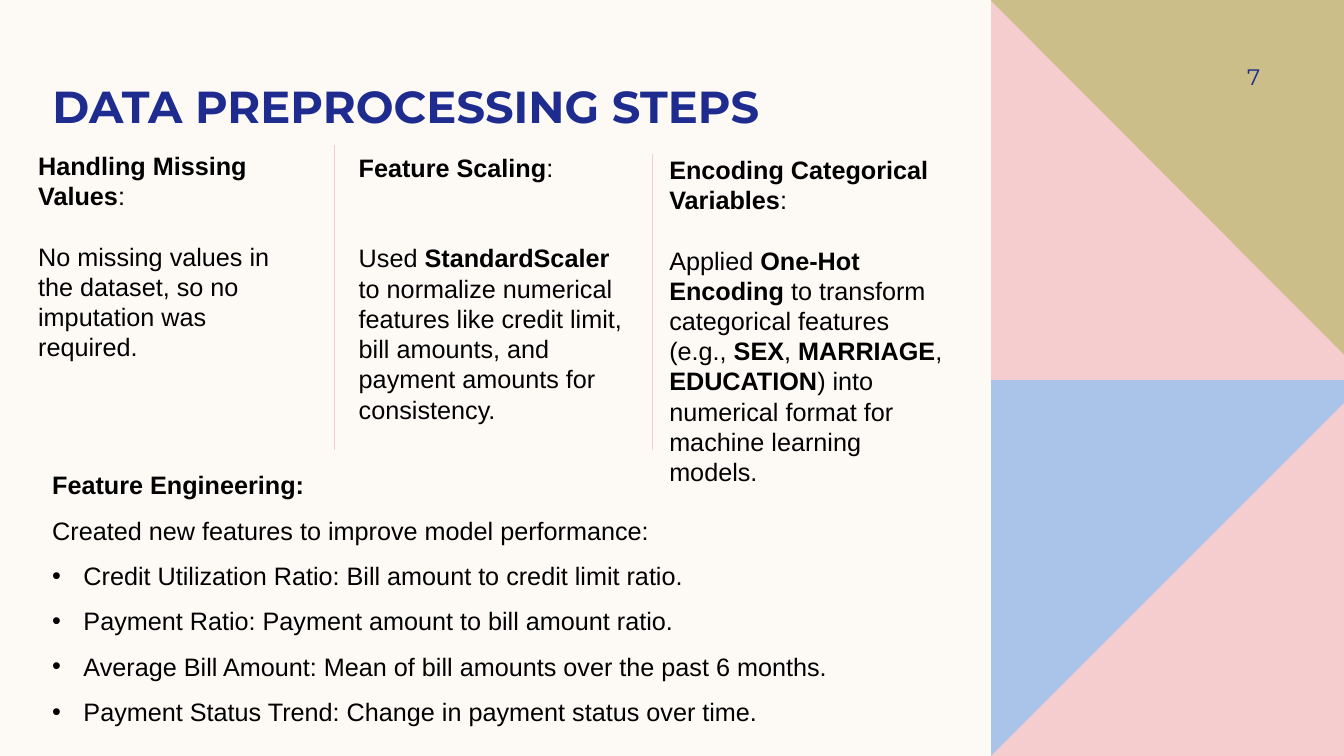
from dataclasses import dataclass

from lxml.etree import SubElement
from pptx import Presentation
from pptx.dml.color import RGBColor as Rgb
from pptx.enum.shapes import MSO_CONNECTOR as Connector
from pptx.enum.text import MSO_ANCHOR as Anchor, MSO_AUTO_SIZE as AutoSize, PP_ALIGN as Align
from pptx.oxml.ns import qn
from pptx.util import Inches, Pt

TITLE = "DATA PREPROCESSING STEPS"
PAGE_NUMBER = "7"
COLUMNS = [
    {
        "box": (0.28, 1.44, 2.82, 2.83),
        "gap_lines": 1,
        "heading": "Handling Missing Values",
        "body": ["No missing values in the dataset, so no imputation was required."],
    },
    {
        "box": (3.46, 1.46, 2.96, 3.43),
        "gap_lines": 2,
        "heading": "Feature Scaling",
        "body": [
            "Used ",
            "StandardScaler",
            " to normalize numerical features like credit limit, bill amounts, "
            "and payment amounts for consistency.",
        ],
    },
    {
        "box": (6.54, 1.48, 2.96, 3.43),
        "gap_lines": 1,
        "heading": "Encoding Categorical Variables",
        "body": [
            "Applied ",
            "One-Hot Encoding",
            " to transform categorical features (e.g., ",
            "SEX",
            ", ",
            "MARRIAGE",
            ", ",
            "EDUCATION",
            ") into numerical format for machine learning models.",
        ],
    },
]
ENGINEERING_HEADING = "Feature Engineering:"
ENGINEERING_INTRO = "Created new features to improve model performance:"
ENGINEERED_FEATURES = [
    "Credit Utilization Ratio: Bill amount to credit limit ratio.",
    "Payment Ratio: Payment amount to bill amount ratio.",
    "Average Bill Amount: Mean of bill amounts over the past 6 months.",
    "Payment Status Trend: Change in payment status over time.",
]
DIVIDERS = [(3.32, 1.44), (6.47, 1.53)]
DIVIDER_BOTTOM = 4.46
LEFT, MIDDLE, RIGHT, BOTTOM = 9.83, 3.76, 13.33, 7.5
PANELS = [
    ("blue", [(LEFT, MIDDLE), (RIGHT, MIDDLE), (RIGHT, BOTTOM), (LEFT, BOTTOM)]),
    ("pink", [(RIGHT, 4), (RIGHT, BOTTOM), (LEFT, BOTTOM)]),
    ("olive", [(LEFT, 0), (RIGHT, 0), (RIGHT, MIDDLE), (LEFT, MIDDLE)]),
    ("pink", [(LEFT, 0.01), (RIGHT, 3.52), (RIGHT, 3.77), (LEFT, 3.77)]),
]


@dataclass(frozen=True)
class Theme:
    background: Rgb = Rgb(0xFD, 0xFA, 0xF6)
    navy: Rgb = Rgb(0x1F, 0x2C, 0x8F)
    black: Rgb = Rgb(0, 0, 0)
    blue: Rgb = Rgb(0xAA, 0xC3, 0xE8)
    pink: Rgb = Rgb(0xF5, 0xCD, 0xCE)
    olive: Rgb = Rgb(0xCC, 0xBE, 0x89)
    display_font: str = "Montserrat"
    body_font: str = "Arial"
    title_size: int = 32
    body_size: int = 18
    number_size: int = 16
    body_line: float = 21.6


THEME = Theme()


def style(para, font, size, color, bold=None):
    para.font.name = font
    para.font.size = Pt(size)
    para.font.color.rgb = color
    para.font.bold = bold


def set_margins(frame, left, top, right, bottom):
    frame.margin_left, frame.margin_top = Inches(left), Inches(top)
    frame.margin_right, frame.margin_bottom = Inches(right), Inches(bottom)


def add_text_frame(page, box):
    frame = page.shapes.add_textbox(*map(Inches, box)).text_frame
    frame.word_wrap = True
    return frame


def add_body_para(frame, spans, first_bold=False):
    para = frame.paragraphs[0] if not frame.paragraphs[0].runs else frame.add_paragraph()
    style(para, THEME.body_font, THEME.body_size, THEME.black)
    for index, words in enumerate(spans):
        span = para.add_run()
        span.text = words
        span.font.bold = (index % 2 == 0) == first_bold
    return para


def add_bullet(para):
    props = para._p.get_or_add_pPr()
    indent = Inches(0.31)
    props.set("marL", str(indent))
    props.set("indent", str(-indent))
    SubElement(props, qn("a:buFont")).set("typeface", THEME.body_font)
    SubElement(props, qn("a:buChar")).set("char", "•")
    defaults = props.find(qn("a:defRPr"))
    if defaults is not None:
        props.append(defaults)


def add_panel(page, color, points):
    corners = [(Inches(x), Inches(y)) for x, y in points]
    builder = page.shapes.build_freeform(*corners[0])
    builder.add_line_segments(corners[1:], close=True)
    panel = builder.convert_to_shape()
    panel.shadow.inherit = False
    panel.fill.solid()
    panel.fill.fore_color.rgb = getattr(THEME, color)
    panel.line.fill.background()


def add_title(page):
    title = page.shapes.title
    title.left, title.top, title.width, title.height = map(Inches, (0.42, 0.48, 8.38, 0.83))
    frame = title.text_frame
    frame.text = TITLE
    frame.word_wrap = True
    frame.auto_size = AutoSize.NONE
    frame.vertical_anchor = Anchor.BOTTOM
    set_margins(frame, 0.1, 0, 0.1, 0)
    para = frame.paragraphs[0]
    para.alignment = Align.LEFT
    style(para, THEME.display_font, THEME.title_size, THEME.navy, True)


def add_page_number(page):
    frame = add_text_frame(page, (11.42, 0.5, 1.08, 0.52))
    frame.vertical_anchor = Anchor.MIDDLE
    set_margins(frame, 0.1, 0.05, 0, 0.05)
    frame.text = PAGE_NUMBER
    para = frame.paragraphs[0]
    para.alignment = Align.RIGHT
    style(para, THEME.display_font, THEME.number_size, THEME.navy)


def add_column(page, column):
    frame = add_text_frame(page, column["box"])
    heading = add_body_para(frame, [column["heading"], ":"], first_bold=True)
    heading.space_after = Pt(column["gap_lines"] * THEME.body_line)
    add_body_para(frame, column["body"])


def add_divider(page, x, top):
    ends = map(Inches, (x, top, x, DIVIDER_BOTTOM))
    divider = page.shapes.add_connector(Connector.STRAIGHT, *ends)
    divider.line.color.rgb = THEME.pink
    divider.line.width = Pt(0.5)
    SubElement(divider._element.spPr, qn("a:effectLst"))


def add_engineering(page):
    frame = add_text_frame(page, (0.42, 4.46, 7.94, 2.78))
    add_body_para(frame, [ENGINEERING_HEADING], first_bold=True)
    add_body_para(frame, [ENGINEERING_INTRO])
    for feature in ENGINEERED_FEATURES:
        add_bullet(add_body_para(frame, [feature]))
    for para in frame.paragraphs:
        para.line_spacing = 1.5


def main():
    deck = Presentation()
    deck.slide_width, deck.slide_height = Inches(13.33), Inches(7.5)
    page = deck.slides.add_slide(deck.slide_layouts[5])
    page.background.fill.solid()
    page.background.fill.fore_color.rgb = THEME.background
    for color, points in PANELS:
        add_panel(page, color, points)
    add_page_number(page)
    add_title(page)
    for column in COLUMNS:
        add_column(page, column)
    for x, top in DIVIDERS:
        add_divider(page, x, top)
    add_engineering(page)
    deck.save("out.pptx")


if __name__ == "__main__":
    main()
